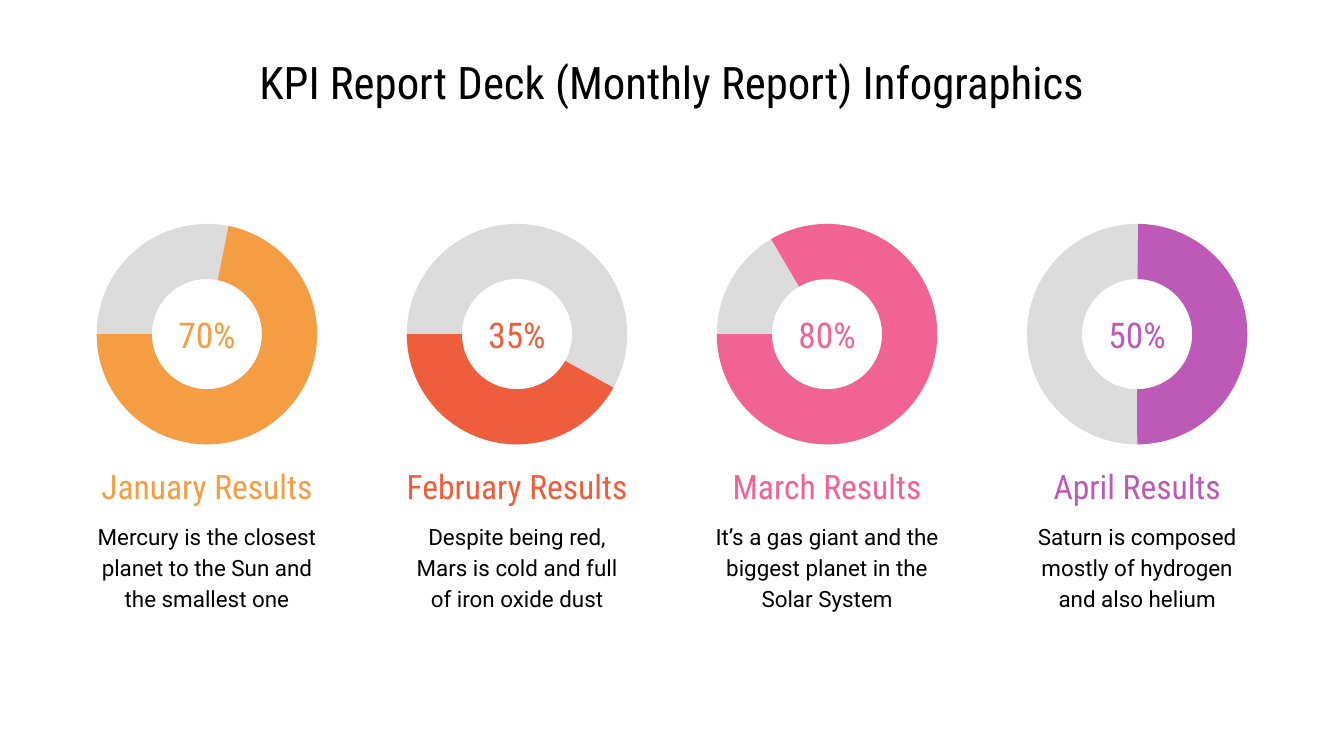
from pptx import Presentation
from pptx.dml.color import RGBColor
from pptx.enum.shapes import MSO_SHAPE as SHAPE
from pptx.enum.text import MSO_ANCHOR as ANCHOR, MSO_AUTO_SIZE as AUTO, PP_ALIGN as ALIGN
from pptx.util import Pt

COLORS = {
    "background": "FFFFFF",
    "text": "000000",
    "track": "DBDBDB",
    "january": "F59D43",
    "february": "EE5E3C",
    "march": "F06393",
    "april": "BD5AB7",
}
HEADING = "Roboto Condensed"
BODY = "Roboto"

LEFT, STEP, COLUMN = 36, 166.1, 149.8
RING, RING_TOP = 118.1, 120
ARC_UNITS = 0.6

MONTHS = [
    ("january", "January Results", "70%", 281.33, 179.98,
     "Mercury is the closest planet to the Sun and the smallest one"),
    ("february", "February Results", "35%", 29.04, 179.98,
     "Despite being red, Mars is cold and full of iron oxide dust"),
    ("march", "March Results", "80%", 239.55, 179.98,
     "It’s a gas giant and the biggest planet in the Solar System"),
    ("april", "April Results", "50%", 270.57, 89.89,
     "Saturn is composed mostly of hydrogen and also helium"),
]


def rgb(name):
    return RGBColor.from_string(COLORS[name])


def write(sp, text, font=HEADING, size=18, color="text", spacing=1.0, side=7.2, edge=0):
    tf = sp.text_frame
    tf.word_wrap = True
    tf.auto_size = AUTO.NONE
    tf.vertical_anchor = ANCHOR.MIDDLE
    tf.margin_left = tf.margin_right = Pt(side)
    tf.margin_top = tf.margin_bottom = Pt(edge)
    p = tf.paragraphs[0]
    p.alignment = ALIGN.CENTER
    p.line_spacing = spacing
    r = p.add_run()
    r.text = text
    r.font.name = font
    r.font.size = Pt(size)
    r.font.color.rgb = rgb(color)


class Deck:
    def __init__(self, width, height):
        self.prs = Presentation()
        self.prs.slide_width = Pt(width)
        self.prs.slide_height = Pt(height)
        self.slide = self.prs.slides.add_slide(self.prs.slide_layouts[5])
        fill = self.slide.background.fill
        fill.solid()
        fill.fore_color.rgb = rgb("background")

    def title(self, text, x, y, w, h):
        sp = self.slide.shapes.title
        sp.left, sp.top, sp.width, sp.height = Pt(x), Pt(y), Pt(w), Pt(h)
        write(sp, text, size=24, edge=7.2)

    def text(self, text, x, y, w, h, **style):
        sp = self.slide.shapes.add_textbox(Pt(x), Pt(y), Pt(w), Pt(h))
        write(sp, text, **style)

    def arc(self, x, y, size, start, end, color):
        sp = self.slide.shapes.add_shape(SHAPE.BLOCK_ARC, Pt(x), Pt(y), Pt(size), Pt(size))
        sp.shadow.inherit = False
        sp.adjustments[0] = start * ARC_UNITS
        sp.adjustments[1] = end * ARC_UNITS
        sp.adjustments[2] = 0.25
        sp.fill.solid()
        sp.fill.fore_color.rgb = rgb(color)
        sp.line.fill.background()

    def month(self, x, color, heading, percent, start, end, description):
        ring_x = x + (COLUMN - RING) / 2
        self.arc(ring_x, RING_TOP, RING, 180, 179.98, "track")
        self.arc(ring_x, RING_TOP, RING, start, end, color)
        self.text(percent, x + (COLUMN - 67) / 2, 165.6, 67, 27.4,
                  size=19, color=color, edge=7.2)
        self.text(heading, x, 241.2, COLUMN, 38.9, color=color, side=14.4)
        self.text(description, x, 273.6, COLUMN, 59,
                  font=BODY, size=12, spacing=1.15, side=14.4)


def main():
    deck = Deck(720, 405)
    deck.title("KPI Report Deck (Monthly Report) Infographics", 39.6, 36, 640.8, 15.1)
    for i, month in enumerate(MONTHS):
        deck.month(LEFT + i * STEP, *month)
    deck.prs.save("out.pptx")


if __name__ == "__main__":
    main()
